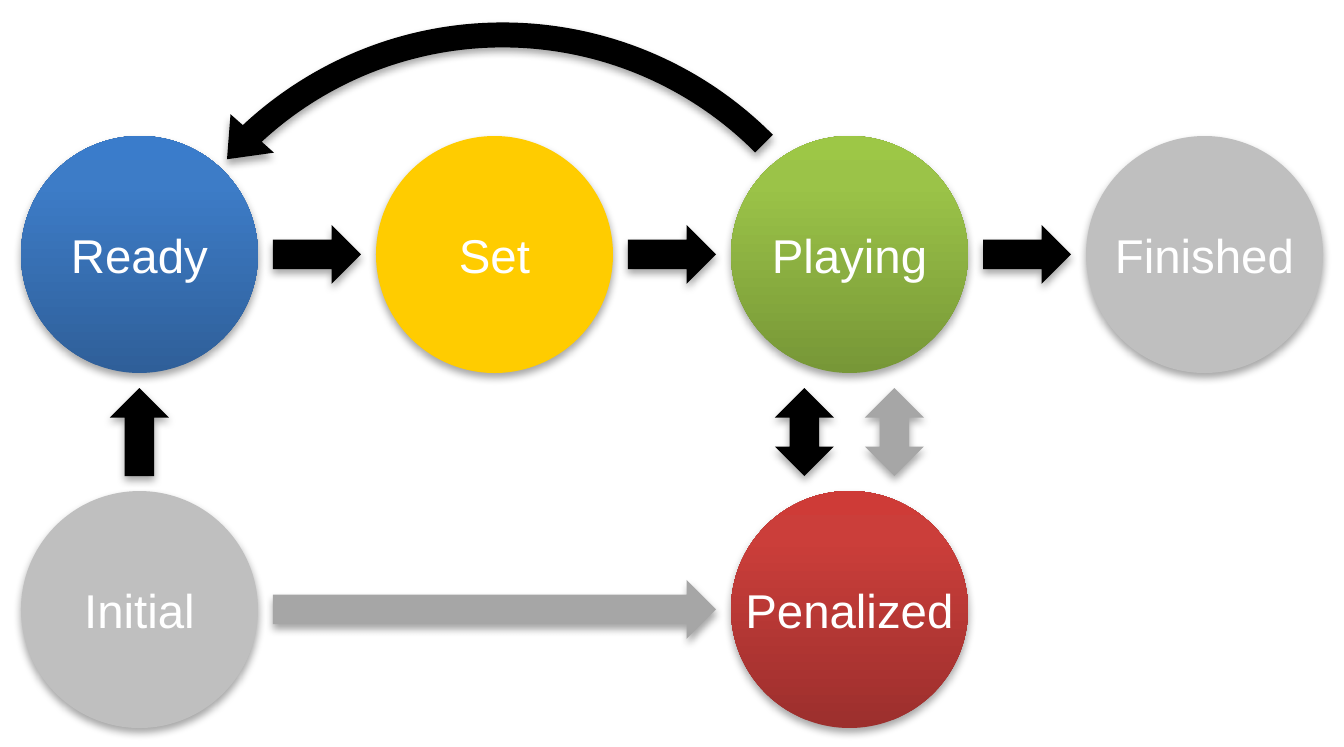
from lxml import etree
from pptx import Presentation
from pptx import util as u
from pptx.dml.color import RGBColor
from pptx.enum import shapes, text
from pptx.oxml import ns

SCALE = 914400 / 189.6  # EMU per pixel
WIDTH, HEIGHT = 1344, 747
COLORS = {"white": "FFFFFF", "black": "000000", "gray": "A6A6A6",
          "silver": "BFBFBF", "yellow": "FFCC00"}
GRADIENTS = {  # stops from bottom to top
    "blue": {0: "2F5F99", 80: "3D7CC7", 100: "3A7CCB"},
    "green": {0: "779737", 80: "9BC348", 100: "9DC746"},
    "red": {0: "9C2F2D", 80: "CB3E3A", 100: "CE3B37"},
}
LEFT, TOP = 21, 136
DIAMETER, PITCH = 237, 355
GAP, THICKNESS = 15, 59
LENGTH = PITCH - DIAMETER - 2 * GAP
STATES = [  # name, column, row, color
    ("Initial", 0, 1, "silver"), ("Ready", 0, 0, "blue"),
    ("Set", 1, 0, "yellow"), ("Playing", 2, 0, "green"),
    ("Finished", 3, 0, "silver"), ("Penalized", 2, 1, "red"),
]


def px(value):
    """Turn pixels into EMU."""
    return u.Emu(round(value * SCALE))


def corner(column, row):
    """Return the left and top of a state circle in the grid."""
    return LEFT + column * PITCH, TOP + row * PITCH


def write(shape, content, size=18, color="white", font="Arial"):
    """Put one centred line of formatted text into a shape."""
    frame = shape.text_frame
    frame.word_wrap = False
    frame.vertical_anchor = text.MSO_ANCHOR.MIDDLE
    frame.margin_left = frame.margin_right = 0
    frame.margin_top = frame.margin_bottom = 0
    paragraph = frame.paragraphs[0]
    paragraph.alignment = text.PP_ALIGN.CENTER
    run = paragraph.add_run()
    run.text = content
    run.font.size, run.font.name = u.Pt(size), font
    run.font.color.rgb = RGBColor.from_string(COLORS[color])


class Diagram:
    """Holds the current slide and the style of its elements."""

    def __init__(self, slide):
        """Start drawing on a slide."""
        self.slide = slide

    def fill(self, shape, color):
        """Apply a plain color or a vertical gradient."""
        if color in COLORS:
            shape.fill.solid()
            shape.fill.fore_color.rgb = RGBColor.from_string(COLORS[color])
            return
        shape.fill.gradient()
        shape.fill.gradient_angle = 90
        stops = shape._element.spPr.find(".//" + ns.qn("a:gsLst"))
        for stop in list(stops):
            stops.remove(stop)
        for position, value in GRADIENTS[color].items():
            stop = etree.SubElement(stops, ns.qn("a:gs"), pos=str(position * 1000))
            etree.SubElement(stop, ns.qn("a:srgbClr"), val=value)

    def shadow(self, shape):
        """Add the soft shadow that falls below each element."""
        shape.shadow.inherit = False
        effects = shape._element.spPr.find(ns.qn("a:effectLst"))
        shadow = etree.SubElement(
            effects, ns.qn("a:outerShdw"), blurRad=str(u.Pt(3.1)),
            dist=str(u.Pt(1.8)), dir="5400000", rotWithShape="0")
        color = etree.SubElement(shadow, ns.qn("a:srgbClr"), val=COLORS["black"])
        etree.SubElement(color, ns.qn("a:alpha"), val="35000")

    def shape(self, kind, left, top, width, height, color):
        """Draw a borderless preset shape with a shadow."""
        shape = self.slide.shapes.add_shape(
            kind, px(left), px(top), px(width), px(height))
        self.fill(shape, color)
        shape.line.fill.background()
        self.shadow(shape)
        return shape

    def state(self, name, column, row, color):
        """Draw a state as a labelled circle."""
        circle = self.shape(shapes.MSO_SHAPE.OVAL, *corner(column, row),
                            DIAMETER, DIAMETER, color)
        write(circle, name)

    def right_arrow(self, column, row, color="black", steps=1):
        """Draw an arrow from a state to one some columns further right."""
        left, top = corner(column, row)
        self.shape(shapes.MSO_SHAPE.RIGHT_ARROW, left + DIAMETER + GAP,
                   top + (DIAMETER - THICKNESS) / 2,
                   LENGTH + (steps - 1) * PITCH, THICKNESS, color)

    def vertical_arrow(self, kind, column, color="black", offset=0):
        """Draw an arrow between the two rows of a column."""
        left, top = corner(column, 0)
        self.shape(kind, left + (DIAMETER - THICKNESS) / 2 + offset,
                   top + DIAMETER + GAP, THICKNESS, LENGTH, color)

    def return_arrow(self, left, top, size):
        """Draw the curved arrow that leads back to the left."""
        arrow = self.shape(shapes.MSO_SHAPE.CIRCULAR_ARROW,
                           left, top, size, size, "black")
        arrow.rotation = 26.9
        arrow._element.spPr.find(ns.qn("a:xfrm")).set("flipH", "1")
        adjustments = (25 / size, 3.37, 203.89, 151.02, 29 / size)
        for index, value in enumerate(adjustments):
            arrow.adjustments[index] = value


presentation = Presentation()
presentation.slide_width, presentation.slide_height = px(WIDTH), px(HEIGHT)
diagram = Diagram(presentation.slides.add_slide(presentation.slide_layouts[6]))

for state in STATES:
    diagram.state(*state)
diagram.vertical_arrow(shapes.MSO_SHAPE.UP_ARROW, 0)
for column in range(3):
    diagram.right_arrow(column, 0)
diagram.return_arrow(106, 6, 794)
diagram.right_arrow(0, 1, color="gray", steps=2)
for color, offset in (("black", -45), ("gray", 45)):
    diagram.vertical_arrow(shapes.MSO_SHAPE.UP_DOWN_ARROW, 2, color, offset)

presentation.save("out.pptx")
